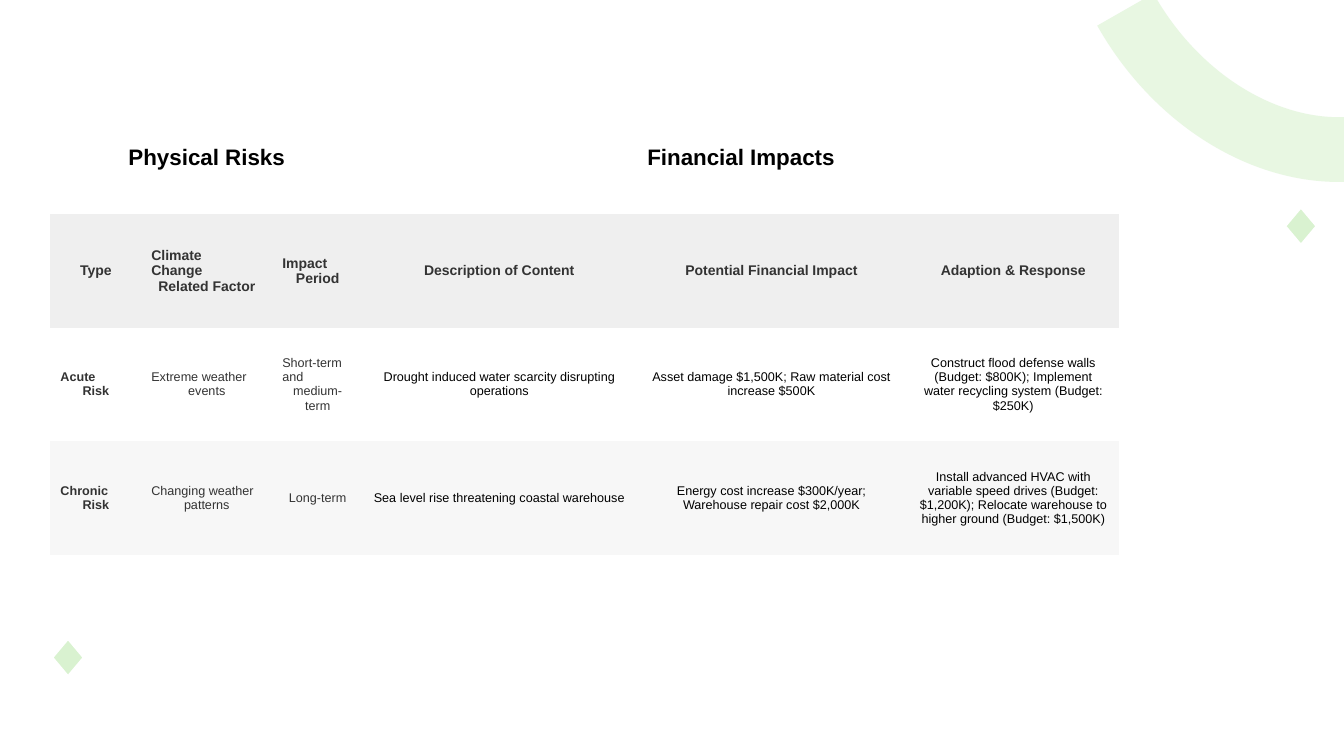
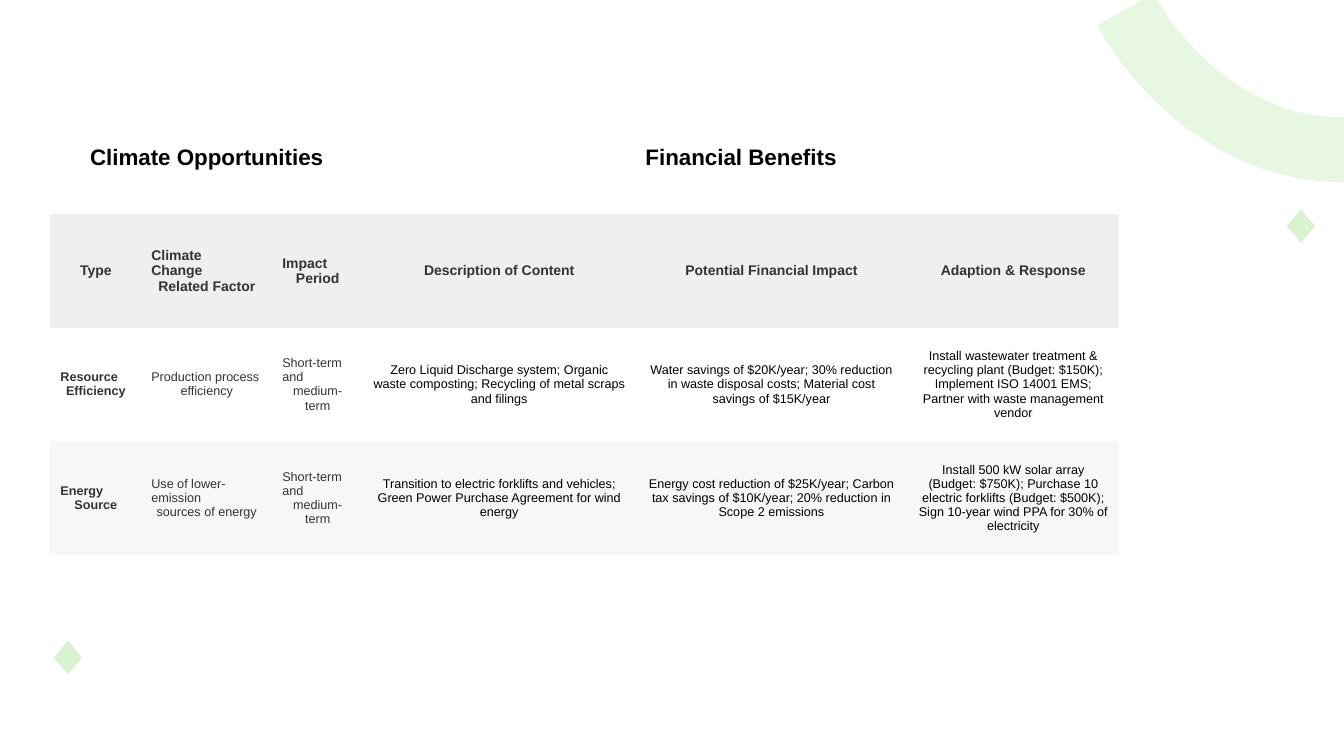
from pptx import Presentation as Deck
from pptx.dml.color import RGBColor as Rgb
from pptx.enum.shapes import MSO_SHAPE as Kind
from pptx.enum.text import MSO_ANCHOR as Anchor, PP_ALIGN as Align
from pptx.oxml.ns import qn
from pptx.util import Cm, Pt
from lxml.etree import SubElement as Sub

HEAD = ["Type", "Climate\nChange\nRelated Factor", "Impact\nPeriod",
        "Description of Content", "Potential Financial Impact",
        "Adaption & Response"]
MIXED = "Short-term\nand\nmedium-term"
RISKS = [
    ["Acute\nRisk", "Extreme weather\nevents", MIXED,
     "Drought induced water scarcity disrupting operations",
     "Asset damage $1,500K; Raw material cost increase $500K",
     "Construct flood defense walls (Budget: $800K); "
     "Implement water recycling system (Budget: $250K)"],
    ["Chronic\nRisk", "Changing weather\npatterns", "Long-term",
     "Sea level rise threatening coastal warehouse",
     "Energy cost increase $300K/year; Warehouse repair cost $2,000K",
     "Install advanced HVAC with variable speed drives (Budget: $1,200K); "
     "Relocate warehouse to higher ground (Budget: $1,500K)"],
]
GAINS = [
    ["Resource\nEfficiency", "Production process\nefficiency", MIXED,
     "Zero Liquid Discharge system; Organic waste composting; "
     "Recycling of metal scraps and filings",
     "Water savings of $20K/year; 30% reduction in waste disposal costs; "
     "Material cost savings of $15K/year",
     "Install wastewater treatment & recycling plant (Budget: $150K); "
     "Implement ISO 14001 EMS; Partner with waste management vendor"],
    ["Energy\nSource", "Use of lower-emission\nsources of energy", MIXED,
     "Transition to electric forklifts and vehicles; "
     "Green Power Purchase Agreement for wind energy",
     "Energy cost reduction of $25K/year; Carbon tax savings of $10K/year; "
     "20% reduction in Scope 2 emissions",
     "Install 500 kW solar array (Budget: $750K); "
     "Purchase 10 electric forklifts (Budget: $500K); "
     "Sign 10-year wind PPA for 30% of electricity"],
]
PLAIN = "{2D5ABB26-0587-4C30-8999-92F81FD0307C}"


def tint(code):
    return Rgb.from_string(code)


def write(frame, text, size=9, color="000000", bold=False, font="Arial"):
    para = frame.paragraphs[0]
    para.alignment = Align.CENTER
    run = para.add_run()
    run.text = text
    run.font.size, run.font.bold, run.font.name = Pt(size), bold, font
    run.font.color.rgb = tint(color)


class Style:
    """Holds the shared look and the slide being drawn."""

    mint, white, dark, black = "D9F2D0", "FFFFFF", "333333", "000000"
    fills = ["FFFFFF", "EFEFEF", "FFFFFF", "F7F7F7"]
    cols = [2.29, 3.3, 2.29, 6.86, 6.86, 5.33]
    row = 2.86

    def __init__(self, deck):
        self.deck = deck
        self.slide = None

    def page(self):
        self.slide = self.deck.slides.add_slide(self.deck.slide_layouts[6])
        back = self.slide.background.fill
        back.solid()
        back.fore_color.rgb = tint(self.white)
        self.arc()
        self.gem(32.39, 5.23)
        self.gem(1.32, 16.1)

    def shape(self, kind, box, line, width):
        item = self.slide.shapes.add_shape(kind, *map(Cm, box))
        item.shadow.inherit = False
        item.line.color.rgb = tint(line)
        item.line.width = Pt(width)
        return item

    def arc(self):
        item = self.shape(Kind.ARC, (27.69, -8.59, 10.16, 12.62),
                          self.mint, 46.25)
        item.fill.background()
        item.rotation = 151.3
        item.adjustments[0], item.adjustments[1] = 152.05, 215.37
        color = item.line._ln.find(".//" + qn("a:srgbClr"))
        Sub(color, qn("a:alpha")).set("val", "60000")

    def gem(self, left, top):
        item = self.shape(Kind.DIAMOND, (left, top, 0.79, 0.94),
                          self.white, 1.5)
        item.fill.solid()
        item.fill.fore_color.rgb = tint(self.mint)

    def cell(self, cell, fill, text, **form):
        cell.fill.solid()
        cell.fill.fore_color.rgb = tint(fill)
        cell.vertical_anchor = Anchor.MIDDLE
        write(cell.text_frame, text, **form)

    def table(self, heads, body):
        rows = [HEAD] + body
        count = len(rows) + 1
        frame = self.slide.shapes.add_table(
            count, len(self.cols), Cm(1.27), Cm(2.54),
            Cm(sum(self.cols)), Cm(self.row * count))
        grid = frame.table
        grid.first_row = grid.horz_banding = False
        grid._tbl.tblPr.find(qn("a:tableStyleId")).text = PLAIN
        for col, width in zip(grid.columns, self.cols):
            col.width = Cm(width)
        for row in grid.rows:
            row.height = Cm(self.row)
        for at, text in zip((0, 3), heads):
            grid.cell(0, at).merge(grid.cell(0, at + 2))
            self.cell(grid.cell(0, at), self.fills[0], text,
                      size=16, bold=True)
        for r, row in enumerate(rows, 1):
            top = r == 1
            for c, text in enumerate(row):
                self.cell(grid.cell(r, c), self.fills[r], text,
                          size=10 if top else 9, bold=top or c == 0,
                          color=self.dark if top or c < 3 else self.black)


def main():
    deck = Deck()
    deck.slide_width, deck.slide_height = Cm(33.87), Cm(19.05)
    style = Style(deck)
    for heads, body in (
            (("Physical Risks", "Financial Impacts"), RISKS),
            (("Climate Opportunities", "Financial Benefits"), GAINS)):
        style.page()
        style.table(heads, body)
    deck.save("out.pptx")


if __name__ == "__main__":
    main()
